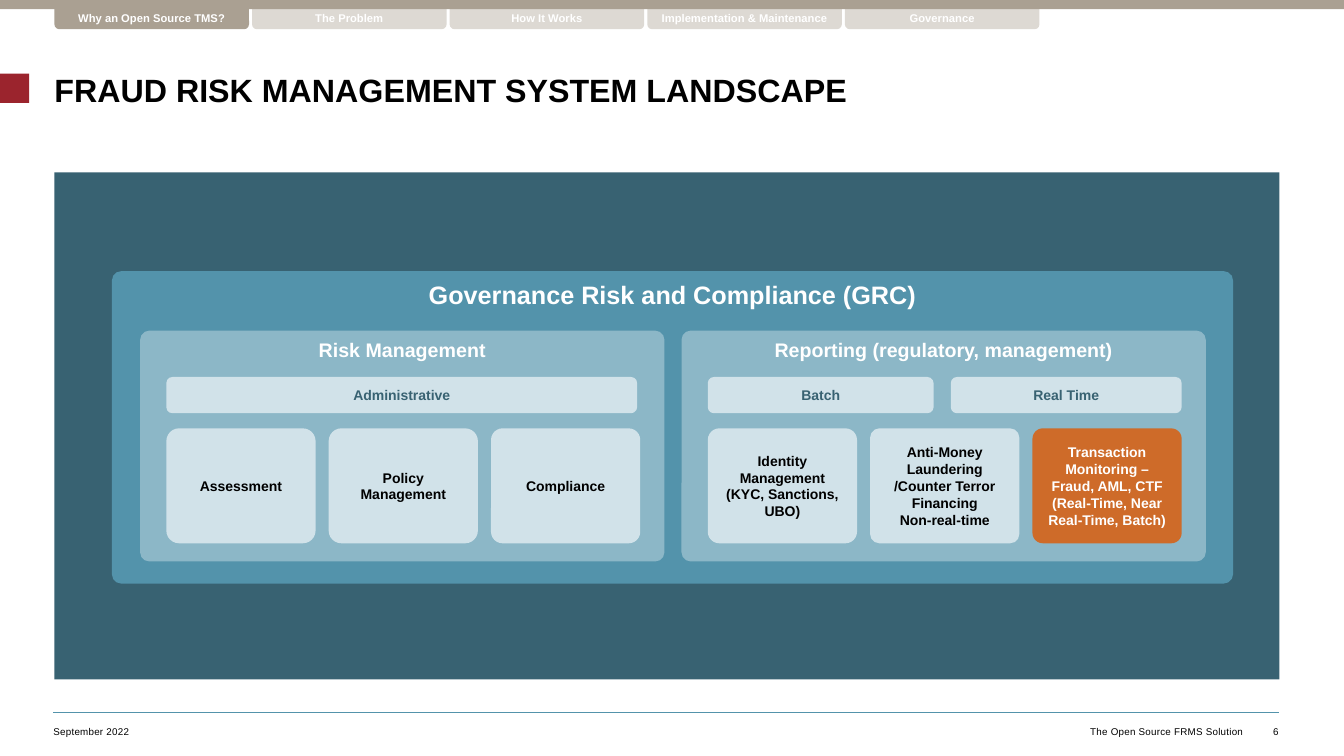
from pptx import Presentation
from pptx.dml.color import RGBColor
from pptx.enum.shapes import MSO_CONNECTOR, MSO_SHAPE
from pptx.enum.text import MSO_ANCHOR, PP_ALIGN
from pptx.oxml.ns import qn
from pptx.util import Inches, Pt
from lxml.etree import SubElement

TEAL, BLUE, MIST, PALE = "386272", "5393AB", "8CB7C7", "D1E2E9"
TAUPE, SAND, ORANGE, RED = "AAA092", "DDD9D3", "CE6B29", "9B242D"
BLACK, WHITE = "000000", "FFFFFF"

deck = Presentation()
deck.slide_width, deck.slide_height = Inches(13.33), Inches(7.5)
slide = deck.slides.add_slide(deck.slide_layouts[6])


def block(area, fill, radius=None):
    """Filled rectangle, rounded when a radius share is given."""
    kind = MSO_SHAPE.RECTANGLE if radius is None else MSO_SHAPE.ROUNDED_RECTANGLE
    shape = slide.shapes.add_shape(kind, *map(Inches, area))
    if radius is not None:
        shape.adjustments[0] = radius
    shape.fill.solid()
    shape.fill.fore_color.rgb = RGBColor.from_string(fill)
    shape.line.fill.background()
    shape.shadow.inherit = False
    return shape


def write(shape, paragraphs, size, color, bold=True, align=PP_ALIGN.CENTER,
          anchor=MSO_ANCHOR.MIDDLE, insets=(0.1, 0.05, 0.1, 0.05), tracking=0):
    """Fill a shape with paragraphs; a newline becomes a line break."""
    frame = shape.text_frame
    frame.word_wrap = True
    frame.vertical_anchor = anchor
    (frame.margin_left, frame.margin_top,
     frame.margin_right, frame.margin_bottom) = map(Inches, insets)
    for number, text in enumerate(paragraphs):
        paragraph = frame.add_paragraph() if number else frame.paragraphs[0]
        paragraph.alignment = align
        for part, words in enumerate(text.split("\n")):
            if part:
                paragraph.add_line_break()
            run = paragraph.add_run()
            run.text = words
            run.font.name, run.font.size, run.font.bold = "Arial", Pt(size), bold
            run.font.color.rgb = RGBColor.from_string(color)
            if tracking:
                run.font._element.set("spc", str(tracking))
    return frame


# Page grid
MARGIN, CONTENT_WIDTH = 0.54, 12.15
CELL_WIDTH, CELL_PITCH = 1.48, 1.61
TAB_WIDTH, TAB_PITCH = 1.93, 1.96

# Red marker, footer rule and backdrop
block((0, 0.73, 0.29, 0.29), RED)
footer_rule = slide.shapes.add_connector(
    MSO_CONNECTOR.STRAIGHT, Inches(0.53), Inches(7.07), Inches(12.69), Inches(7.07))
footer_rule.line.color.rgb = RGBColor.from_string(BLUE)
footer_rule.line.width = Pt(0.5)
SubElement(footer_rule._element.spPr, qn("a:effectLst"))
block((MARGIN, 1.71, CONTENT_WIDTH, 5.03), TEAL)

# Title
title = slide.shapes.add_textbox(*map(Inches, (MARGIN, 0.71, CONTENT_WIDTH, 0.32)))
title_frame = write(title, ["FRAUD RISK MANAGEMENT SYSTEM LANDSCAPE"], 23, BLACK,
                    align=PP_ALIGN.LEFT, insets=(0, 0, 0, 0))
title_frame.paragraphs[0].line_spacing = Pt(30.7)

# Governance frame
governance = block((1.11, 2.69, 11.12, 3.1), BLUE, 0.03)
write(governance, ["Governance Risk and Compliance (GRC)"], 18, WHITE,
      anchor=MSO_ANCHOR.TOP)

# Two panels: heading, left edge, modes (offset, width), cells (text, radius)
panels = [
    ("Risk Management", 1.39,
     [("Administrative", 0, 4.67)],
     [(["Assessment"], 0.11),
      (["Policy Management"], 0.11),
      (["Compliance"], 0.1)]),
    ("Reporting (regulatory, management)", 6.76,
     [("Batch", 0, 2.24), ("Real Time", 2.41, 2.29)],
     [(["Identity Management\n(KYC, Sanctions, UBO)"], 0.1),
      (["Anti-Money Laundering /Counter Terror Financing", "Non-real-time"], 0.08),
      (["Transaction Monitoring – Fraud, AML, CTF",
        "(Real-Time, Near Real-Time, Batch)"], 0.09)]),
]
for heading, left, modes, cells in panels:
    panel = block((left, 3.28, 5.2, 2.29), MIST, 0.04)
    write(panel, [heading], 14, WHITE, anchor=MSO_ANCHOR.TOP)
    inner = left + 0.26
    for mode, offset, width in modes:
        write(block((inner + offset, 3.74, width, 0.36), PALE, 0.17), [mode], 10, TEAL)
    for column, (lines, radius) in enumerate(cells):
        highlighted = lines[0].startswith("Transaction")
        cell = block((inner + column * CELL_PITCH, 4.25, CELL_WIDTH, 1.14),
                     ORANGE if highlighted else PALE, radius)
        write(cell, lines, 10, WHITE if highlighted else BLACK)

# Footer: text, left, width, alignment, vertical inset, tracking
footer = [
    ("September 2022", 0.53, 1.25, PP_ALIGN.LEFT, 0, 20),
    ("The Open Source FRMS Solution", 7.83, 4.5, PP_ALIGN.RIGHT, 0, 20),
    ("6", 12.08, 0.6, PP_ALIGN.RIGHT, 0.05, 0),
]
for text, left, width, align, inset, tracking in footer:
    note = slide.shapes.add_textbox(*map(Inches, (left, 7.14, width, 0.23)))
    write(note, [text], 7, BLACK, bold=False, align=align,
          insets=(0, inset, 0, inset), tracking=tracking)

# Navigation tabs hanging from the top bar
sections = ["Why an Open Source TMS?", "The Problem", "How It Works",
            "Implementation & Maintenance", "Governance"]
for position, section in enumerate(sections):
    tab = block((MARGIN + position * TAB_PITCH, 0, TAB_WIDTH, 0.29),
                SAND if position else TAUPE, 0.17)
    write(tab, [section], 8, WHITE, anchor=MSO_ANCHOR.BOTTOM, insets=(0, 0, 0, 0.03))
block((0, 0, 13.33, 0.09), TAUPE)

deck.save("out.pptx")
